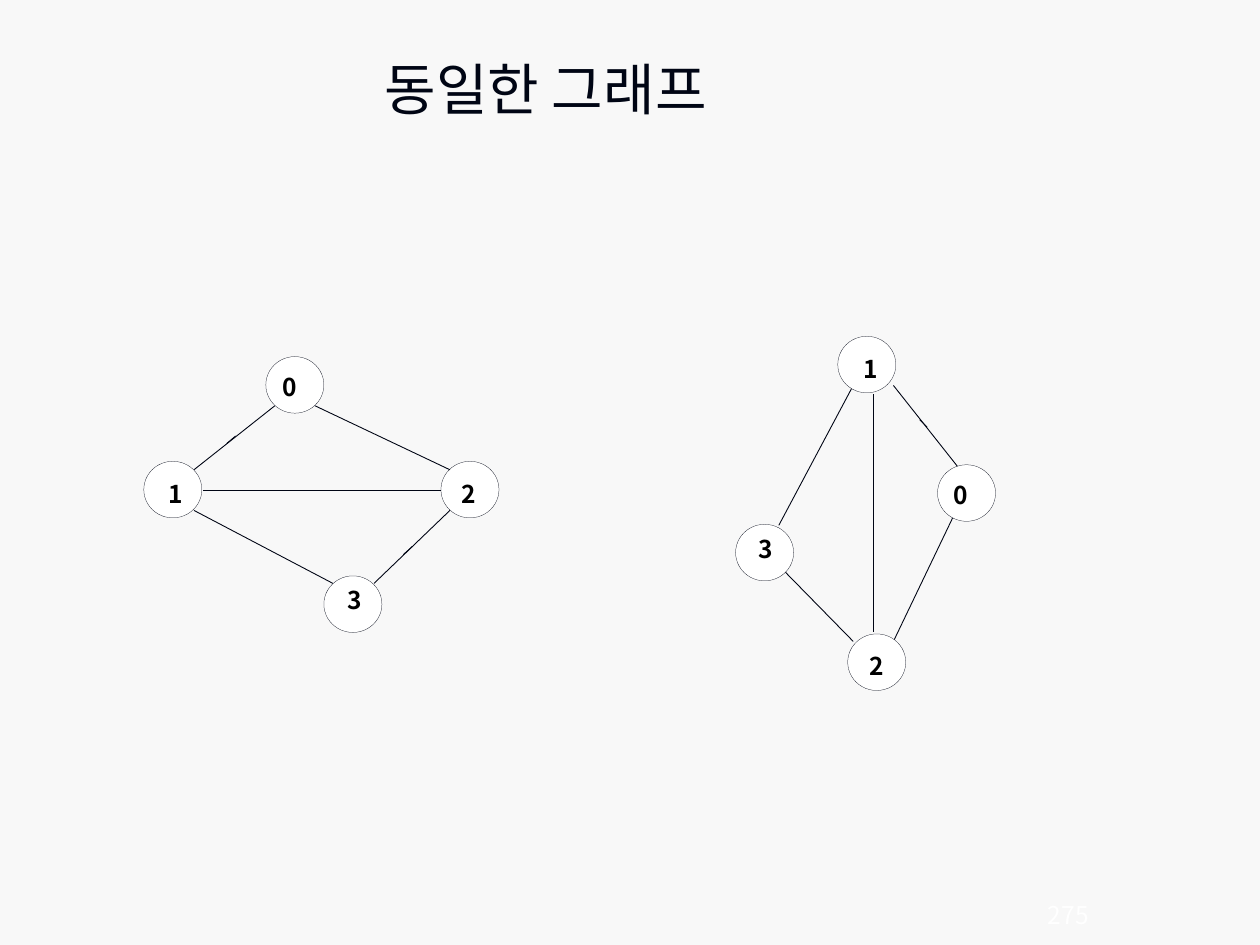
from dataclasses import dataclass
from typing import NamedTuple

import pptx
import pptx.dml.color
import pptx.enum.shapes
import pptx.enum.text
import pptx.oxml.ns
import pptx.util
from lxml import etree

Cm = pptx.util.Cm
Pt = pptx.util.Pt
ALIGN = pptx.enum.text.PP_ALIGN
ANCHOR = pptx.enum.text.MSO_ANCHOR
qn = pptx.oxml.ns.qn


@dataclass(frozen=True)
class Theme:
    font: str = "Noto Sans CJK KR"
    background: str = "F8F8F8"
    ink: str = "000514"
    label: str = "000000"
    white: str = "FFFFFF"
    title_size: float = 32
    label_size: float = 14
    node_line: float = 0.13
    edge_line: float = 0.5


class Node(NamedTuple):
    name: str
    x: float
    y: float
    label_x: float
    label_y: float


class Edge(NamedTuple):
    x1: float
    y1: float
    x2: float
    y2: float


THEME = Theme()
NODE_W, NODE_H = 1.17, 1.14
LABEL_W, LABEL_H = 0.28, 0.61

# All positions are in centimetres
LEFT_NODES = [
    Node("0", 5.36, 7.19, 5.69, 7.49),
    Node("2", 8.89, 9.3, 9.3, 9.65),
    Node("1", 2.9, 9.3, 3.4, 9.65),
    Node("3", 6.53, 11.61, 7.01, 11.79),
]
RIGHT_NODES = [
    Node("3", 14.83, 10.57, 15.29, 10.77),
    Node("0", 18.9, 9.37, 19.23, 9.68),
    Node("1", 16.89, 6.78, 17.4, 7.14),
    Node("2", 17.09, 12.78, 17.53, 13.13),
]
# The short edges at the end of each list are marks on the long ones
LEFT_EDGES = [
    Edge(6.35, 8.18, 9.07, 9.47),
    Edge(3.91, 10.29, 6.71, 11.76),
    Edge(5.54, 8.18, 3.91, 9.47),
    Edge(4.09, 9.88, 8.89, 9.88),
    Edge(9.07, 10.29, 7.54, 11.76),
    Edge(4.57, 8.94, 4.75, 8.79),
    Edge(5.72, 9.88, 5.99, 9.88),
    Edge(8.13, 11.18, 8.31, 11.02),
]
RIGHT_EDGES = [
    Edge(19.3, 10.24, 18.01, 12.93),
    Edge(17.2, 7.77, 15.7, 10.59),
    Edge(19.3, 9.4, 18.01, 7.77),
    Edge(17.6, 7.95, 17.6, 12.75),
    Edge(17.2, 12.93, 15.7, 11.4),
    Edge(18.54, 8.46, 18.69, 8.61),
    Edge(17.6, 9.6, 17.6, 9.88),
]


def rgb(value: str) -> pptx.dml.color.RGBColor:
    return pptx.dml.color.RGBColor.from_string(value)


def add_text(s, text: str, x: float, y: float, w: float, h: float, *,
             size: float, color: str, bold: bool = False, align=ALIGN.LEFT,
             anchor=ANCHOR.TOP, wrap: bool = True, inset: tuple = (0, 0)) -> None:
    tf = s.shapes.add_textbox(Cm(x), Cm(y), Cm(w), Cm(h)).text_frame
    tf.margin_left = tf.margin_right = Cm(inset[0])
    tf.margin_top = tf.margin_bottom = Cm(inset[1])
    tf.word_wrap = wrap
    tf.vertical_anchor = anchor
    if not wrap:
        tf.auto_size = pptx.enum.text.MSO_AUTO_SIZE.SHAPE_TO_FIT_TEXT
    p = tf.paragraphs[0]
    p.alignment = align
    r = p.add_run()
    r.text = text
    r.font.size = Pt(size)
    r.font.bold = bold
    r.font.color.rgb = rgb(color)
    r.font.name = THEME.font
    # East Asian glyphs take their own typeface element
    etree.SubElement(r.font._element, qn("a:ea")).set("typeface", THEME.font)


def add_node(s, node: Node) -> None:
    sp = s.shapes.add_shape(pptx.enum.shapes.MSO_SHAPE.OVAL, Cm(node.x),
                            Cm(node.y), Cm(NODE_W), Cm(NODE_H))
    sp.shadow.inherit = False
    sp.fill.solid()
    sp.fill.fore_color.rgb = rgb(THEME.white)
    sp.line.color.rgb = rgb(THEME.ink)
    sp.line.width = Pt(THEME.node_line)
    add_text(s, node.name, node.label_x, node.label_y, LABEL_W, LABEL_H,
             size=THEME.label_size, color=THEME.label, bold=True, wrap=False)


def add_edge(s, edge: Edge) -> None:
    line = s.shapes.add_connector(pptx.enum.shapes.MSO_CONNECTOR.STRAIGHT,
                                  *(Cm(v) for v in edge))
    line.line.color.rgb = rgb(THEME.ink)
    line.line.width = Pt(THEME.edge_line)
    etree.SubElement(line._element.spPr, qn("a:effectLst"))


def main() -> None:
    prs = pptx.Presentation()
    prs.slide_width, prs.slide_height = Cm(25.4), Cm(19.05)
    s = prs.slides.add_slide(prs.slide_layouts[6])
    s.background.fill.solid()
    s.background.fill.fore_color.rgb = rgb(THEME.background)

    # Title
    add_text(s, "동일한 그래프", 1.3, 0.91, 19.41, 1.75, size=THEME.title_size,
             color=THEME.ink, align=ALIGN.CENTER, anchor=ANCHOR.MIDDLE,
             inset=(0.25, 0.13))

    # Two drawings of the same graph
    for node in LEFT_NODES:
        add_node(s, node)
    for edge in LEFT_EDGES + RIGHT_EDGES:
        add_edge(s, edge)
    for node in RIGHT_NODES:
        add_node(s, node)

    # Page number
    add_text(s, "275", 19.95, 17.93, 2, 1, size=THEME.label_size,
             color=THEME.white, align=ALIGN.RIGHT, anchor=ANCHOR.MIDDLE)

    prs.save("out.pptx")


if __name__ == "__main__":
    main()
